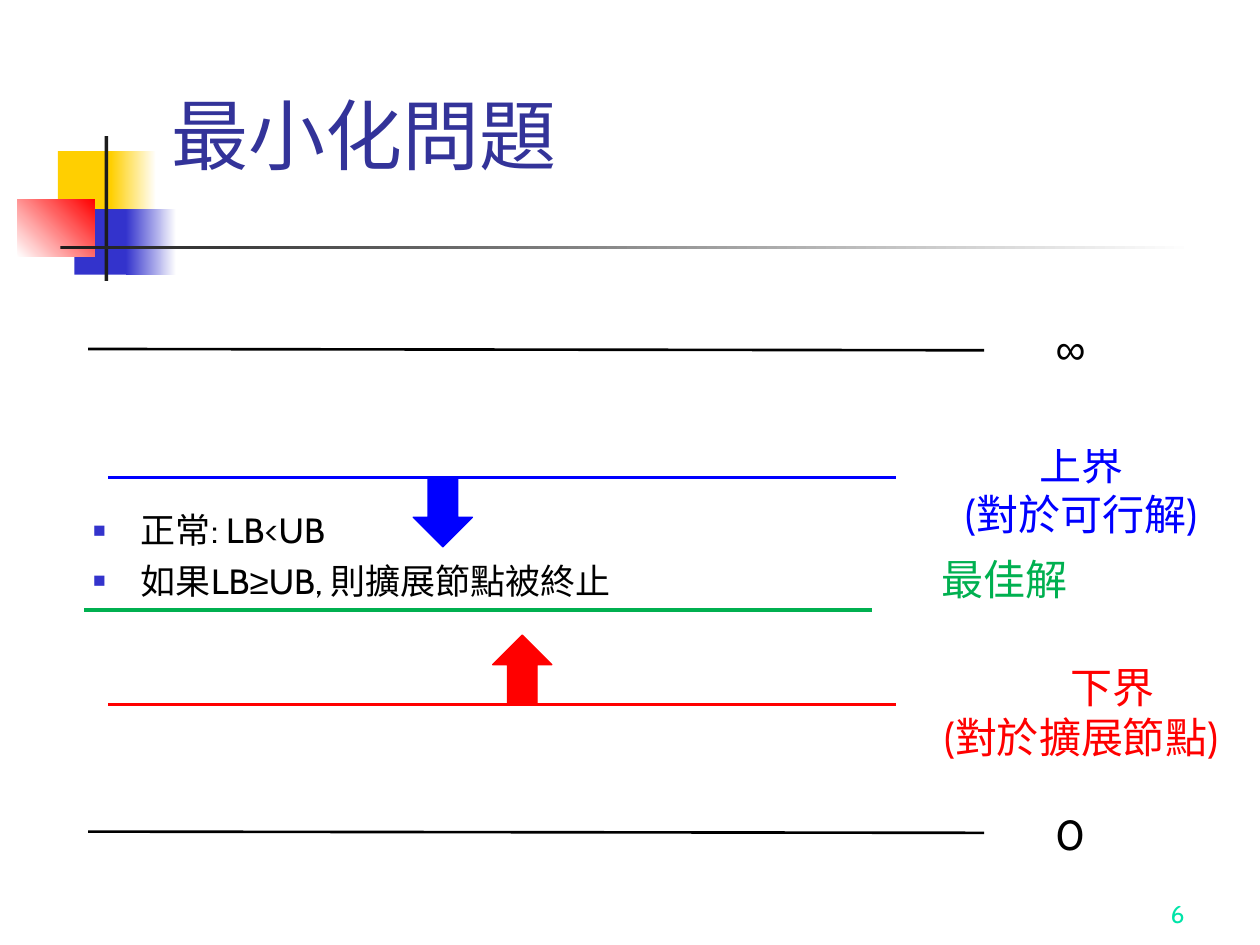
from lxml import etree
from pptx import Presentation
from pptx.dml.color import RGBColor
from pptx.enum.shapes import MSO_CONNECTOR, MSO_SHAPE as Shape
from pptx.enum.text import MSO_ANCHOR as Anchor, PP_ALIGN as Align
from pptx.oxml.ns import qn
from pptx.util import Inches, Pt

BLACK, WHITE, CHARCOAL = "000000", "FFFFFF", "1C1C1C"
YELLOW, INDIGO, NAVY = "FFCF01", "3333CC", "333399"
BLUE, RED, GREEN, MINT = "0000FF", "FF0000", "00B050", "00E4A8"


def rgb(color):
    return RGBColor.from_string(color)


class Board:
    """Holds the text style and the slide being built."""

    font = "Cabin"

    def __init__(self, slide):
        self.slide = slide

    def block(self, left, top, width, height, color, to=None, angle=0,
              kind=Shape.RECTANGLE, outline=False, rotation=0):
        shape = self.slide.shapes.add_shape(
            kind, *map(Inches, (left, top, width, height)))
        shape.shadow.inherit = False
        shape.rotation = rotation
        if to:
            shape.fill.gradient()
            shape.fill.gradient_angle = angle
            for stop, tone in zip(shape.fill.gradient_stops, (color, to)):
                stop.color.rgb = rgb(tone)
        else:
            shape.fill.solid()
            shape.fill.fore_color.rgb = rgb(color)
        if outline:
            shape.line.color.rgb = rgb(color)
            shape.line.width = Pt(0.75)
        else:
            shape.line.fill.background()

    def level(self, left, y, length, color, weight, rise=0):
        line = self.slide.shapes.add_connector(
            MSO_CONNECTOR.STRAIGHT,
            *map(Inches, (left, y, left + length, y + rise)))
        line.line.color.rgb = rgb(color)
        line.line.width = Pt(weight)
        etree.SubElement(line._element.spPr, qn("a:effectLst"))

    def text(self, left, top, width, height, paragraphs, color, size=24,
             align=Align.LEFT, anchor=Anchor.TOP, wrap=True):
        """Each paragraph is a list of (words, font) runs or one string."""
        box = self.slide.shapes.add_textbox(
            *map(Inches, (left, top, width, height)))
        frame = box.text_frame
        frame.word_wrap = wrap
        frame.vertical_anchor = anchor
        for i, content in enumerate(paragraphs):
            para = frame.paragraphs[0] if i == 0 else frame.add_paragraph()
            para.alignment = align
            runs = [(content, self.font)] if isinstance(content, str) else content
            for words, font in runs:
                run = para.add_run()
                run.text = words
                run.font.name = font
                run.font.size = Pt(size)
                run.font.color.rgb = rgb(color)
        return frame.paragraphs

    def bullets(self, left, top, width, height, items, color, size, mark):
        for para in self.text(left, top, width, height, items, color, size):
            para.space_before = Pt(5)
            props = para._p.get_or_add_pPr()
            props.set("marL", str(Inches(0.38)))
            props.set("indent", str(-Inches(0.38)))
            tint = etree.SubElement(props, qn("a:buClr"))
            etree.SubElement(tint, qn("a:srgbClr"), val=mark)
            etree.SubElement(props, qn("a:buSzPct"), val="60000")
            etree.SubElement(props, qn("a:buFont"), typeface="Arial")
            etree.SubElement(props, qn("a:buChar"), char="■")


def main():
    deck = Presentation()
    deck.slide_width, deck.slide_height = Inches(10), Inches(7.5)
    board = Board(deck.slides.add_slide(deck.slide_layouts[6]))

    # Corner ornament and title rule
    board.block(0.46, 1.2, 0.48, 0.52, YELLOW)
    board.block(0.88, 1.2, 0.36, 0.52, YELLOW, to=WHITE)
    board.block(0.59, 1.66, 0.46, 0.52, INDIGO)
    board.block(1, 1.66, 0.4, 0.52, INDIGO, to=WHITE)
    board.block(0.14, 1.58, 0.61, 0.46, WHITE, to=RED, angle=45)
    board.block(0.83, 1.08, 0.03, 1.15, CHARCOAL)
    board.block(0.48, 1.95, 9, 0.03, CHARCOAL, to=WHITE)

    # Termination rule
    board.bullets(0.64, 3.99, 9.25, 1.24, [
        "正常: LB<UB",
        [("如果LB", board.font), ("≥", "Arial"),
         ("UB, 則擴展節點被終止", board.font)],
    ], BLACK, 20, INDIGO)

    # Upper and lower bounds, with arrows closing in on the optimum
    upper_y, lower_y, arrow_height = 3.79, 5.59, 0.55
    for y in (upper_y, lower_y):
        board.level(0.86, y, 6.25, BLUE if y == upper_y else RED, 2)
    board.text(7.18, 3.43, 2.8, 0.9, ["上界", "(對於可行解)"], BLUE,
               align=Align.CENTER)
    lower_label = board.text(7.18, 5.2, 2.8, 0.9, ["下界", "(對於擴展節點)"],
                             RED, align=Align.CENTER)
    lower_label[0]._p.get_or_add_pPr().set("marL", str(Inches(0.5)))
    board.block(3.28, upper_y, 0.47, arrow_height, BLUE,
                kind=Shape.DOWN_ARROW, outline=True)
    board.block(3.91, lower_y - arrow_height, 0.47, arrow_height, RED,
                kind=Shape.DOWN_ARROW, outline=True, rotation=180)

    # White band behind the infinity level
    board.block(0, 2.31, 10, 1.25, WHITE, outline=True)

    # Extremes of the scale
    for y, label_top, label, font in ((2.77, 2.51, "∞", "Arial"),
                                      (6.6, 6.37, "0", board.font)):
        board.level(0.7, y, 7.11, BLACK, 1.5, rise=0.01)
        board.text(8.28, label_top, 0.45, 0.5, [[(label, font)]], BLACK,
                   wrap=False)

    # Optimal solution
    board.level(0.67, 4.84, 6.25, GREEN, 2)
    board.text(7.37, 4.34, 2.09, 0.5, ["最佳解"], GREEN)

    # Title and page number
    board.text(1.26, 0.23, 8.52, 1.25, ["最小化問題"], NAVY, 44,
               anchor=Anchor.BOTTOM)
    board.text(7.42, 6.92, 2.08, 0.5, ["6"], MINT, 14,
               align=Align.RIGHT, anchor=Anchor.BOTTOM)

    deck.save("out.pptx")


if __name__ == "__main__":
    main()
